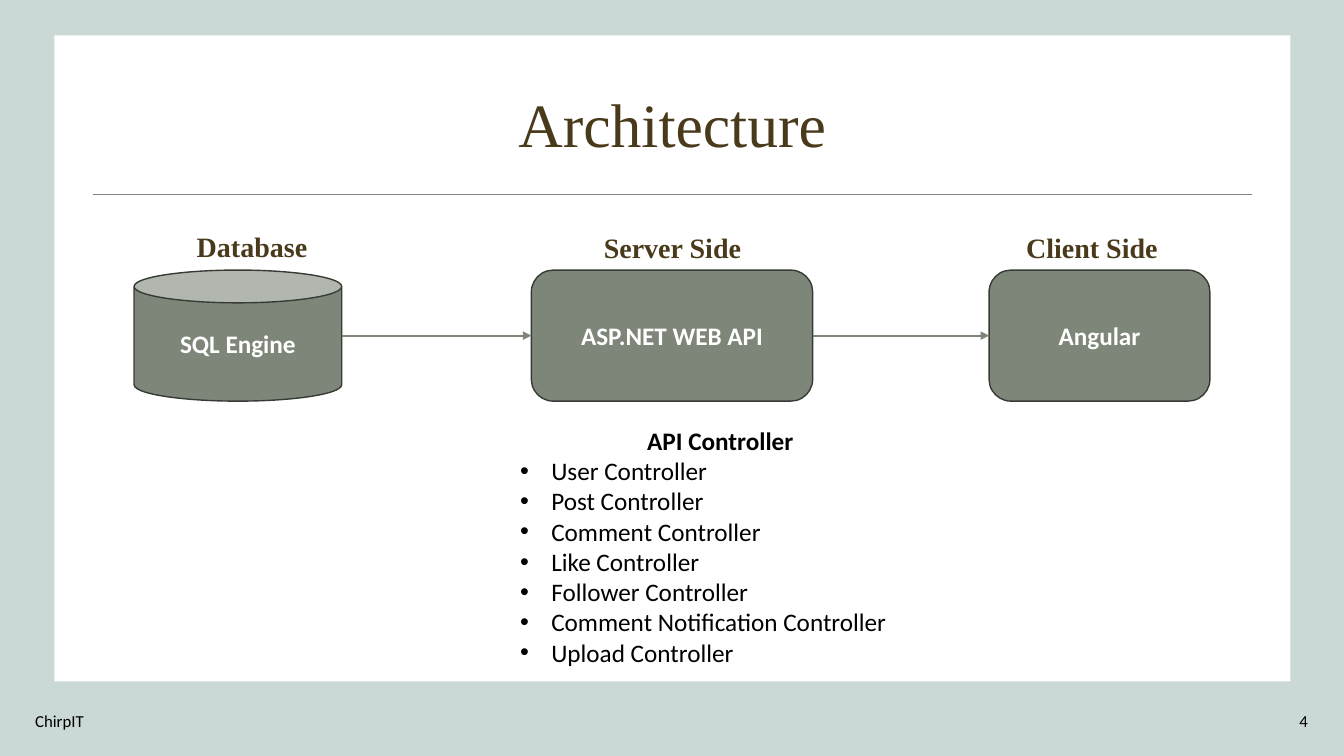
from pptx import Presentation
from pptx import util as u
from pptx.dml.color import RGBColor
from pptx.enum import shapes, text
from pptx.oxml.ns import qn
from lxml import etree

COLORS = {"back": "CAD8D6", "panel": "FFFFFF", "sage": "7E8679",
          "edge": "373B35", "brown": "4A3A1C", "ink": "000000"}
SERIF, SANS = "Times New Roman", "Calibri"
ALIGN, ANCHOR = text.PP_ALIGN, text.MSO_ANCHOR
SHAPE = shapes.MSO_SHAPE


def paint(fill, name):
    """Give a fill one solid colour from the palette."""
    fill.solid()
    fill.fore_color.rgb = RGBColor.from_string(COLORS[name])


def style(par, size, font, color, bold=False, align=ALIGN.LEFT):
    """Format a paragraph and its runs."""
    par.alignment = align
    for run in par.runs:
        run.font.size = u.Pt(size)
        run.font.name = font
        run.font.bold = bold
        run.font.color.rgb = RGBColor.from_string(COLORS[color])


def label(slide, box, words, anchor, *look, **more):
    """Add a wrapped one-paragraph text box and return its paragraph."""
    frame = slide.shapes.add_textbox(*map(u.Inches, box)).text_frame
    frame.word_wrap = True
    frame.vertical_anchor = anchor
    frame.text = words
    style(frame.paragraphs[0], *look, **more)
    return frame.paragraphs[0]


def block(slide, box, kind, fill, edge=None):
    """Add a flat filled shape with an optional outline."""
    shape = slide.shapes.add_shape(kind, *map(u.Inches, box))
    shape.shadow.inherit = False
    paint(shape.fill, fill)
    if edge:
        paint(shape.line.fill, edge)
        shape.line.width = u.Pt(1)
    else:
        shape.line.fill.background()
    return shape


def rule(slide, start, end, y, width, arrow=False):
    """Draw a level line, with an arrowhead at its end if asked."""
    line = slide.shapes.add_connector(
        shapes.MSO_CONNECTOR.STRAIGHT, *map(u.Inches, (start, y, end, y)))
    paint(line.line.fill, "sage")
    line.line.width = u.Pt(width)
    props = line._element.spPr
    if arrow:
        etree.SubElement(props.find(qn("a:ln")), qn("a:tailEnd"), type="triangle")
    etree.SubElement(props, qn("a:effectLst"))


def frame(slide, box):
    """Draw the backdrop, panel, title and title rule."""
    left, top, width, height = box
    paint(slide.background.fill, "back")
    block(slide, box, SHAPE.RECTANGLE, "panel")
    rule(slide, left + 0.38, left + width - 0.38, top + 1.58, 1)
    title = label(slide, (left + 0.38, top + 0.19, width - 0.76, 1.45),
                  "Architecture", ANCHOR.MIDDLE, 44, SERIF, "brown", align=ALIGN.CENTER)
    title.line_spacing = 0.9


def flow(slide, box, tiers):
    """Draw the captioned tiers in a row, joined by arrows."""
    left, top, width, height = box
    last = None
    for head, middle, rise, words, kind, shift, wide in tiers:
        cap = label(slide, (left + middle - 1.75, top - rise, 3.5, 0.47), head,
                    ANCHOR.BOTTOM, 20, SERIF, "brown", True, ALIGN.CENTER)
        cap.line_spacing = 0.9
        cap.space_before = u.Pt(10)
        start = left + shift
        tier = block(slide, (start, top, wide, height), kind, "sage", "edge")
        tier.text_frame.text = words
        tier.text_frame.vertical_anchor = ANCHOR.MIDDLE
        style(tier.text_frame.paragraphs[0], 18, SANS, "panel", True, ALIGN.CENTER)
        if last is not None:
            rule(slide, last, start, top + height / 2, 1.5, True)
        last = start + wide


def roster(slide, box, head, items):
    """Write a bold heading over a bulleted list."""
    first = label(slide, box, head, ANCHOR.TOP, 18, SANS, "ink", True, ALIGN.CENTER)
    body = first._parent
    for item in items:
        par = body.add_paragraph()
        par.text = item
        style(par, 18, SANS, "ink")
        props = par._p.get_or_add_pPr()
        props.set("marL", str(u.Inches(0.31)))
        props.set("indent", str(-u.Inches(0.31)))
        etree.SubElement(props, qn("a:buFont"), typeface="Arial")
        etree.SubElement(props, qn("a:buChar"), char="•")


def footer(slide, box, name, page):
    """Write the project name and page number at the two ends."""
    left, top, width, height = box
    label(slide, (left, top, 4.5, height), name, ANCHOR.MIDDLE, 12, SANS, "ink")
    label(slide, (left + width - 3, top, 3, height), page, ANCHOR.MIDDLE,
          12, SANS, "ink", align=ALIGN.RIGHT)


def main():
    """Build and save the slide."""
    deck = Presentation()
    deck.slide_width, deck.slide_height = u.Inches(13.33), u.Inches(7.5)
    slide = deck.slides.add_slide(deck.slide_layouts[6])
    frame(slide, (0.54, 0.35, 12.26, 6.41))
    flow(slide, (1.33, 2.68, 10.67, 1.3), [
        ("Database", 1.17, 0.49, "SQL Engine", SHAPE.CAN, 0, 2.06),
        ("Server Side", 5.34, 0.48, "ASP.NET WEB API", SHAPE.ROUNDED_RECTANGLE, 3.94, 2.79),
        ("Client Side", 9.5, 0.48, "Angular", SHAPE.ROUNDED_RECTANGLE, 8.48, 2.19)])
    kinds = ("User", "Post", "Comment", "Like", "Follower",
             "Comment Notification", "Upload")
    roster(slide, (5.06, 4.17, 4.17, 2.52), "API Controller",
           [f"{kind} Controller" for kind in kinds])
    footer(slide, (0.25, 6.95, 12.82, 0.4), "ChirpIT", "4")
    deck.save("out.pptx")


if __name__ == "__main__":
    main()
